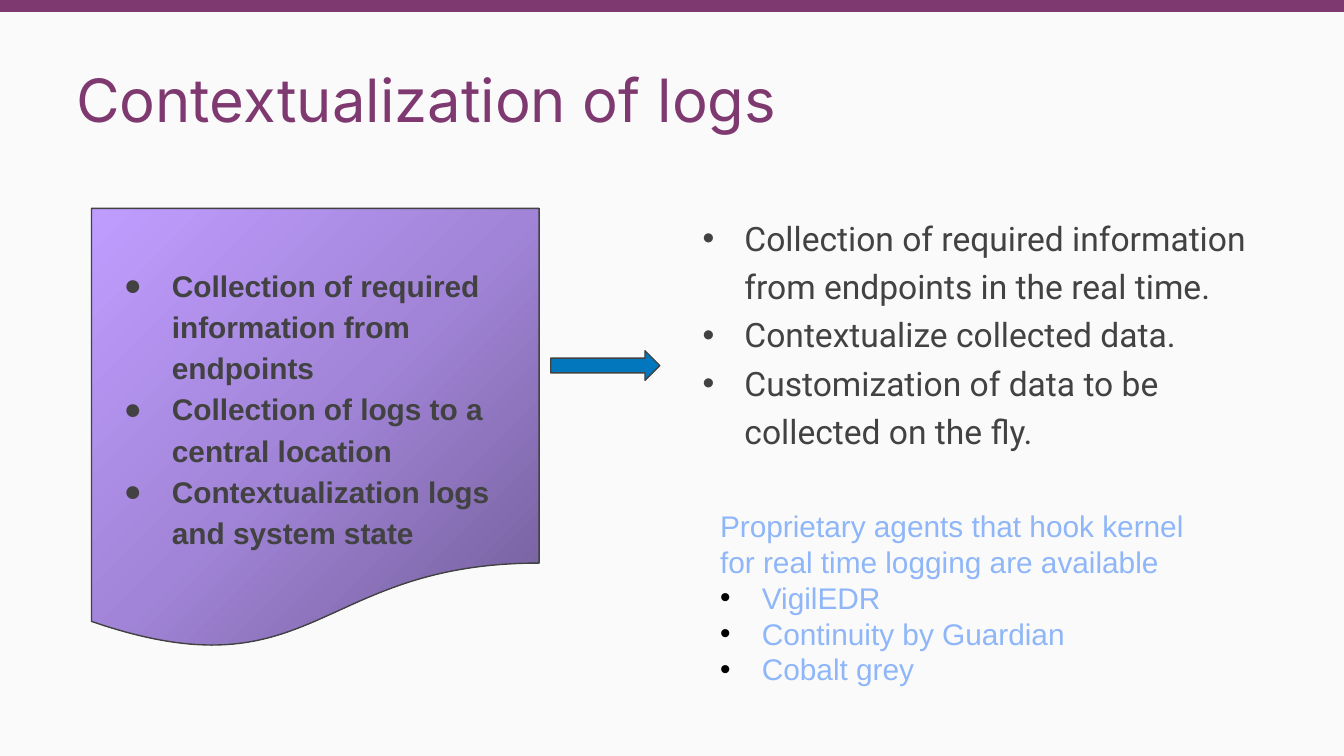
from copy import deepcopy
from dataclasses import dataclass

from lxml import etree
from pptx import Presentation
from pptx import util as u
from pptx.dml.color import RGBColor
from pptx.enum import shapes, text
from pptx.oxml.ns import qn

COLORS = {
    "plum": "7F3971",
    "paper": "FAFAFA",
    "ink": "424242",
    "blue": "0277BD",
    "sky": "8EB6F8",
    "black": "000000",
    "violet_dark": "715D97",
    "violet_mid": "A184D7",
    "violet_light": "BF9DFF",
}


@dataclass(frozen=True)
class Area:
    """A rectangle on the page, in centimetres."""
    left: float
    top: float
    width: float
    height: float

    def lengths(self) -> tuple:
        return tuple(u.Cm(v) for v in (self.left, self.top, self.width, self.height))


@dataclass(frozen=True)
class Bullet:
    char: str
    color: str
    margin: float
    hanging: float


PANEL = Area(0, 0.23, 25.4, 14.06)
TITLE = Area(1.19, 0.94, 19.61, 1.7)
DOCUMENT = Area(1.73, 3.94, 8.46, 8.36)
ARROW = Area(10.41, 6.63, 2.06, 0.56)
BODY = Area(12.7, 3.71, 11.79, 5.33)
AGENTS = Area(13.36, 9.47, 9.73, 4.27)

DISC = Bullet("●", "ink", 1.27, 0.91)
INK_DOT = Bullet("•", "ink", 1.12, 0.79)
BLACK_DOT = Bullet("•", "black", 0.79, 0.79)

COLLECTION = [
    "Collection of required information from endpoints",
    "Collection of logs to a central location",
    "Contextualization logs and system state",
]
REAL_TIME = [
    "Collection of required information from endpoints in the real time.",
    "Contextualize collected data.",
    "Customization of data to be collected on the fly.",
]
AGENTS_INTRO = "Proprietary agents that hook kernel for real time logging are available"
AGENT_NAMES = ["VigilEDR", "Continuity by Guardian", "Cobalt grey"]


def rgb(name: str) -> RGBColor:
    return RGBColor.from_string(COLORS[name])


def place(box, area: Area) -> None:
    box.left, box.top, box.width, box.height = area.lengths()


def set_frame(box, anchor=text.MSO_ANCHOR.TOP, side=0.25, top=0.25, bottom=0.25):
    frame = box.text_frame
    frame.word_wrap = True
    frame.auto_size = text.MSO_AUTO_SIZE.NONE
    frame.vertical_anchor = anchor
    frame.margin_left = frame.margin_right = u.Cm(side)
    frame.margin_top, frame.margin_bottom = u.Cm(top), u.Cm(bottom)
    return frame


def add_bullet(para, bullet: Bullet) -> None:
    props = para._p.get_or_add_pPr()
    props.set("marL", str(u.Cm(bullet.margin)))
    props.set("indent", str(-u.Cm(bullet.hanging)))
    color = etree.SubElement(props, qn("a:buClr"))
    etree.SubElement(color, qn("a:srgbClr"), val=COLORS[bullet.color])
    etree.SubElement(props, qn("a:buFont"), typeface="Arial")
    etree.SubElement(props, qn("a:buChar"), char=bullet.char)


def write(frame, content: str, *, font: str, size: float, color: str,
          bold: bool = False, spacing: float = 1.0, bullet: Bullet | None = None) -> None:
    """Fill the frame's empty first paragraph, or append a new one."""
    para = frame.paragraphs[0] if not frame.text else frame.add_paragraph()
    if bullet:
        add_bullet(para, bullet)
    para.alignment = text.PP_ALIGN.LEFT
    para.line_spacing = spacing
    para.space_before = para.space_after = u.Pt(0)
    span = para.add_run()
    span.text = content
    span.font.name, span.font.size, span.font.bold = font, u.Pt(size), bold
    span.font.color.rgb = rgb(color)


def add_shape(page, kind, area: Area, fill: str | None = None, line: str | None = None):
    shape = page.shapes.add_shape(kind, *area.lengths())
    shape.shadow.inherit = False
    if fill:
        shape.fill.solid()
        shape.fill.fore_color.rgb = rgb(fill)
    if line:
        shape.line.color.rgb = rgb(line)
        shape.line.width = u.Pt(0.75)
    else:
        shape.line.fill.background()
    return shape


def fill_gradient(shape, names: list[str], angle: float) -> None:
    """Spread the named colours evenly along the gradient."""
    shape.fill.gradient()
    shape.fill.gradient_angle = angle
    stops = shape._element.spPr.find(qn("a:gradFill")).find(qn("a:gsLst"))
    while len(stops) < len(names):
        stops.append(deepcopy(stops[0]))
    for index, (stop, name) in enumerate(zip(shape.fill.gradient_stops, names)):
        stop.position = index / (len(names) - 1)
        stop.color.rgb = rgb(name)


def main() -> None:
    deck = Presentation()
    deck.slide_width, deck.slide_height = u.Cm(25.4), u.Cm(14.29)
    page = deck.slides.add_slide(deck.slide_layouts[1])
    page.background.fill.solid()
    page.background.fill.fore_color.rgb = rgb("plum")

    panel = add_shape(page, shapes.MSO_SHAPE.RECTANGLE, PANEL, fill="paper")
    page.shapes._spTree.insert(2, panel._element)

    title = page.shapes.title
    place(title, TITLE)
    write(set_frame(title), "Contextualization of logs", font="Inter", size=32, color="plum")

    document = add_shape(page, shapes.MSO_SHAPE.FLOWCHART_DOCUMENT, DOCUMENT, line="ink")
    fill_gradient(document, ["violet_dark", "violet_mid", "violet_light"], angle=135)
    frame = set_frame(document, anchor=text.MSO_ANCHOR.MIDDLE, top=1.03)
    for item in COLLECTION:
        write(frame, item, font="Arial", size=16, color="ink", bold=True,
              spacing=1.15, bullet=DISC)

    body = page.placeholders[1]
    place(body, BODY)
    frame = set_frame(body)
    for item in REAL_TIME:
        write(frame, item, font="Roboto", size=18, color="ink", spacing=1.2, bullet=INK_DOT)

    add_shape(page, shapes.MSO_SHAPE.RIGHT_ARROW, ARROW, fill="blue", line="ink")

    agents = page.shapes.add_textbox(*AGENTS.lengths())
    frame = set_frame(agents, top=0.13, bottom=0.13)
    write(frame, AGENTS_INTRO, font="Arial", size=16, color="sky")
    for name in AGENT_NAMES:
        write(frame, name, font="Arial", size=16, color="sky", bullet=BLACK_DOT)

    deck.save("out.pptx")


if __name__ == "__main__":
    main()
